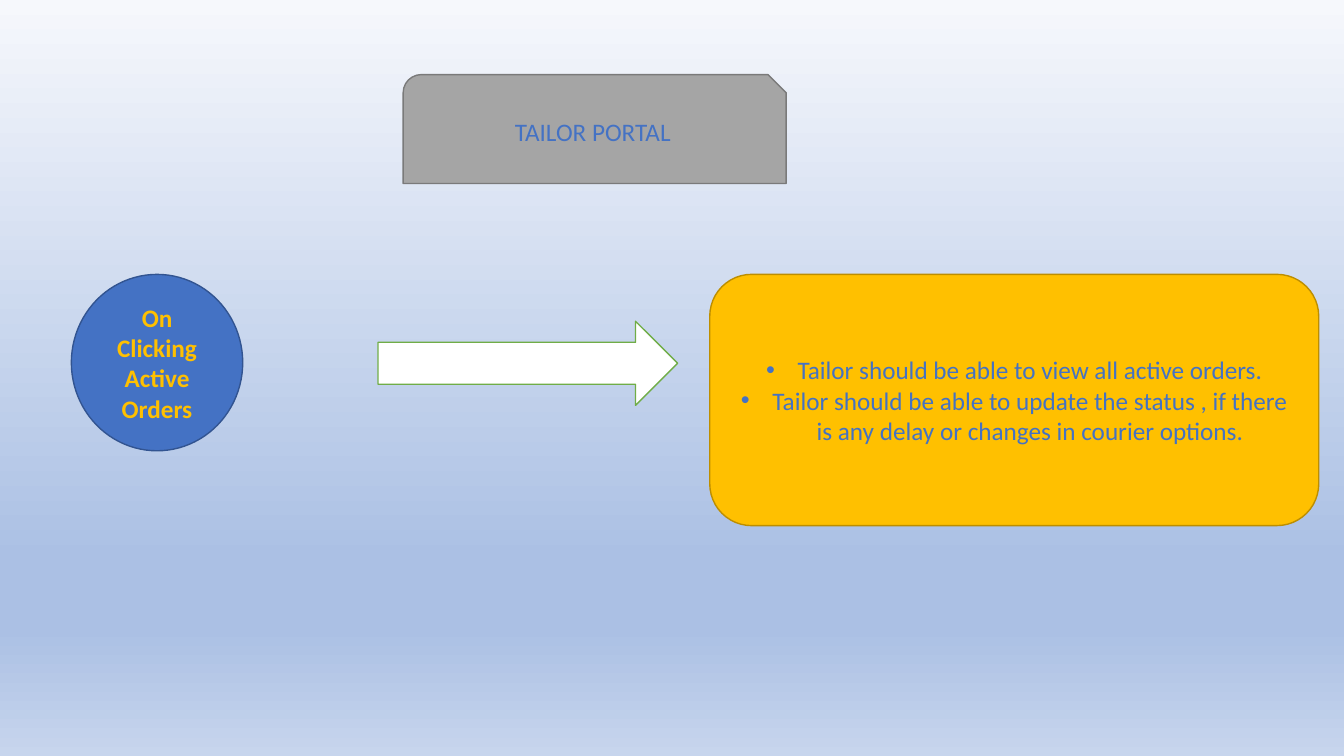
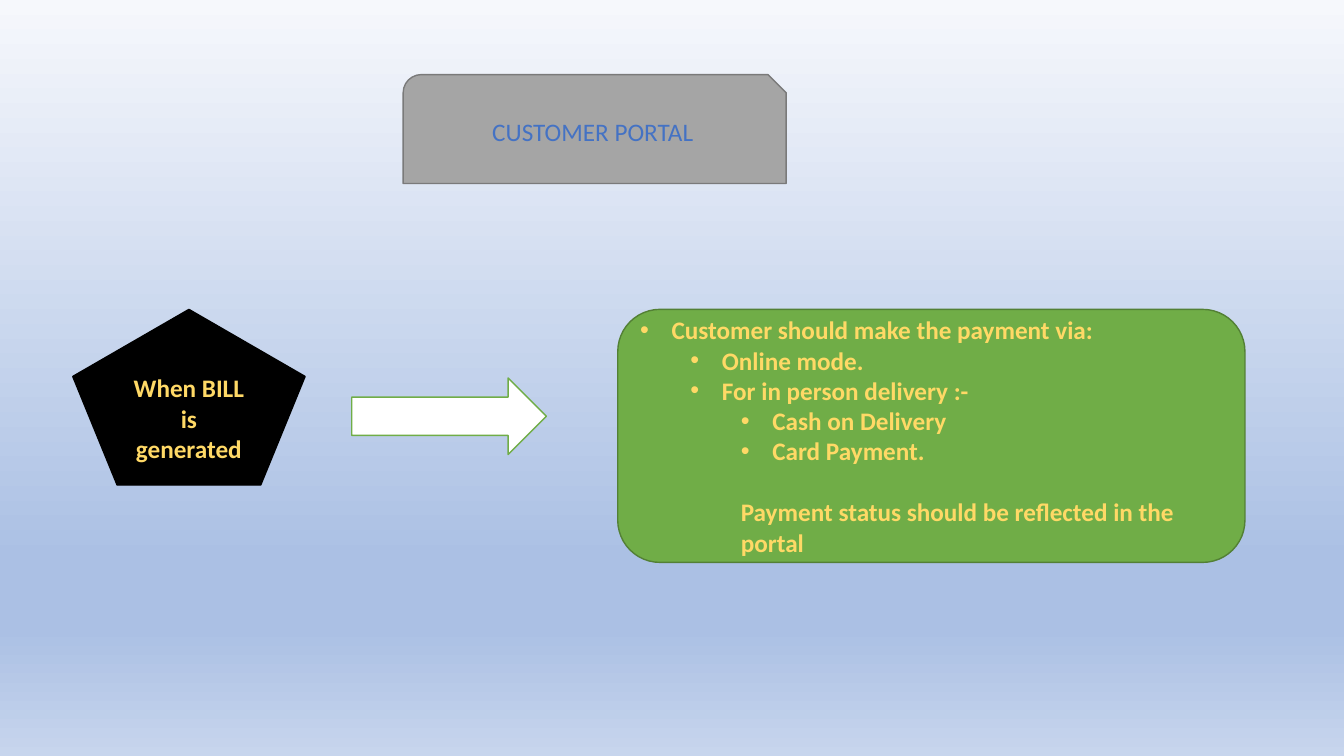
from copy import deepcopy

from lxml.etree import SubElement
from pptx import Presentation
from pptx.dml.color import RGBColor
from pptx.enum.shapes import MSO_SHAPE as SHAPE
from pptx.enum.text import MSO_ANCHOR as ANCHOR, PP_ALIGN as ALIGN
from pptx.oxml.ns import qn
from pptx.util import Pt

BLUE = RGBColor(0x44, 0x72, 0xC4)
DARK_BLUE = RGBColor(0x32, 0x54, 0x91)
GRAY = RGBColor(0xA5, 0xA5, 0xA5)
DARK_GRAY = RGBColor(0x7A, 0x7A, 0x7A)
GOLD = RGBColor(0xFF, 0xC0, 0x00)
DARK_GOLD = RGBColor(0xBD, 0x8E, 0x00)
LIGHT_GOLD = RGBColor(0xFF, 0xD9, 0x66)
GREEN = RGBColor(0x70, 0xAD, 0x47)
DARK_GREEN = RGBColor(0x53, 0x80, 0x35)
WHITE = RGBColor(0xFF, 0xFF, 0xFF)
BLACK = RGBColor(0x00, 0x00, 0x00)
PALE = RGBColor(0xF6, 0xF8, 0xFC)
SKY = RGBColor(0xAB, 0xC0, 0xE4)
LIGHT_SKY = RGBColor(0xC7, 0xD5, 0xED)

BACKGROUND = [(0, PALE), (0.74, SKY), (0.83, SKY), (1, LIGHT_SKY)]
FONT = "Calibri"
SIZE = 18
HANG = 22.5
LEVEL_STEP = 36


def set_background(master):
    fill = master.background.fill
    fill.gradient()
    fill.gradient_angle = 270
    stop_list = master.element.find(".//" + qn("a:gsLst"))
    while len(stop_list) < len(BACKGROUND):
        stop_list.append(deepcopy(stop_list[0]))
    for stop, (position, color) in zip(fill.gradient_stops, BACKGROUND):
        stop.position = position
        stop.color.rgb = color


def add_box(s, kind, box, fill, line):
    sp = s.shapes.add_shape(kind, *[Pt(v) for v in box])
    sp.shadow.inherit = False
    sp.fill.solid()
    sp.fill.fore_color.rgb = fill
    sp.line.color.rgb = line
    sp.line.width = Pt(1)
    return sp


def style_paragraph(p, color, bold, align):
    p.alignment = align
    for r in p.runs:
        r.font.name = FONT
        r.font.size = Pt(SIZE)
        r.font.bold = bold
        r.font.color.rgb = color


def set_indent(p, left, hang):
    pPr = p._p.get_or_add_pPr()
    pPr.set("marL", str(Pt(left)))
    pPr.set("indent", str(-Pt(hang)))
    return pPr


def add_bullet(p, level):
    p.level = level
    pPr = set_indent(p, HANG + level * LEVEL_STEP, HANG)
    SubElement(pPr, qn("a:buFont")).set("typeface", "Arial")
    SubElement(pPr, qn("a:buChar")).set("char", "•")


def add_label(s, kind, box, text, fill, line, color, bold=True):
    tf = add_box(s, kind, box, fill, line).text_frame
    tf.vertical_anchor = ANCHOR.MIDDLE
    tf.text = text
    style_paragraph(tf.paragraphs[0], color, bold, ALIGN.CENTER)


def add_title(s, text):
    add_label(s, SHAPE.SNIP_ROUND_RECTANGLE, (288, 53.3, 273.6, 77.8), text,
              GRAY, DARK_GRAY, BLUE, bold=False)


def add_arrow(s, box):
    add_box(s, SHAPE.RIGHT_ARROW, box, WHITE, GREEN)


def add_list(s, box, items, fill, line, color, bold, align):
    tf = add_box(s, SHAPE.ROUNDED_RECTANGLE, box, fill, line).text_frame
    tf.vertical_anchor = ANCHOR.MIDDLE
    for i, (level, text) in enumerate(items):
        p = tf.add_paragraph() if i else tf.paragraphs[0]
        p.text = text
        add_bullet(p, level)
        style_paragraph(p, color, bold, align)
    return tf


def add_closing(tf, text, color):
    p = tf.add_paragraph()
    p.text = text
    p.level = 2
    p.space_before = Pt(22)
    set_indent(p, 2 * LEVEL_STEP, 0)
    style_paragraph(p, color, True, ALIGN.LEFT)


def build_tailor(s):
    add_title(s, "TAILOR PORTAL")
    add_label(s, SHAPE.OVAL, (51, 196, 122.4, 126), "On Clicking Active Orders",
              BLUE, DARK_BLUE, GOLD)
    add_arrow(s, (270, 229.5, 214, 60))
    items = [
        (0, "Tailor should be able to view all active orders."),
        (0, "Tailor should be able to update the status , if there is any "
            "delay or changes in courier options."),
    ]
    add_list(s, (507, 196, 435, 179.5), items, GOLD, DARK_GOLD, BLUE, False,
             ALIGN.CENTER)


def build_customer(s):
    add_title(s, "CUSTOMER PORTAL")
    add_label(s, SHAPE.REGULAR_PENTAGON, (52, 221, 166, 125.5),
              "When BILL is generated", BLACK, BLACK, LIGHT_GOLD)
    add_arrow(s, (251.3, 270, 139, 54.7))
    items = [
        (0, "Customer should make the payment via:"),
        (1, "Online mode."),
        (1, "For in person delivery :-"),
        (2, "Cash on Delivery"),
        (2, "Card Payment."),
    ]
    tf = add_list(s, (441.3, 221, 448, 180.7), items, GREEN, DARK_GREEN,
                  LIGHT_GOLD, True, ALIGN.LEFT)
    add_closing(tf, "Payment status should be reflected in the portal", LIGHT_GOLD)


def main():
    prs = Presentation()
    prs.slide_width, prs.slide_height = Pt(960), Pt(540)
    set_background(prs.slide_master)
    for build in (build_tailor, build_customer):
        build(prs.slides.add_slide(prs.slide_layouts[6]))
    prs.save("out.pptx")


if __name__ == "__main__":
    main()
